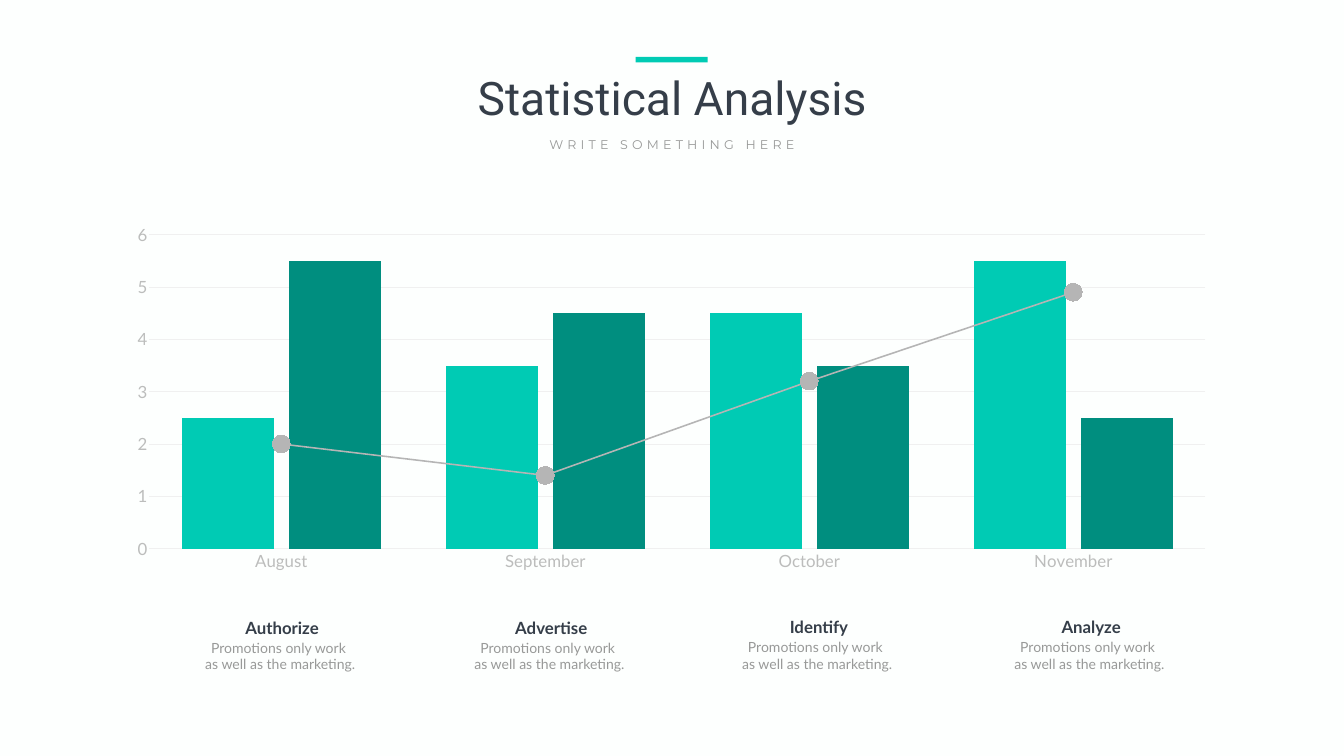
from lxml.etree import SubElement
from pptx import Presentation
from pptx.chart.data import CategoryChartData
from pptx.dml.color import RGBColor
from pptx.enum.chart import XL_CHART_TYPE, XL_MARKER_STYLE, XL_TICK_MARK
from pptx.enum.shapes import MSO_SHAPE
from pptx.enum.text import MSO_ANCHOR, MSO_AUTO_SIZE, PP_ALIGN
from pptx.oxml import parse_xml
from pptx.oxml.ns import nsdecls, qn
from pptx.util import Pt

PX = 9144  # EMU per px, 100 px to the inch

BACKGROUND = RGBColor(0xFD, 0xFF, 0xFE)
DARK = RGBColor(0x35, 0x3E, 0x49)
GRAY = RGBColor(0x98, 0x99, 0x98)
AXIS_GRAY = RGBColor(0xBC, 0xBD, 0xBC)
GRID_GRAY = RGBColor(0xF0, 0xF0, 0xF0)
TREND_GRAY = RGBColor(0xB5, 0xB5, 0xB5)
TEAL = RGBColor(0x00, 0xCB, 0xB4)
DEEP_TEAL = RGBColor(0x00, 0x8E, 0x7F)

MONTHS = ["August", "September", "October", "November"]
SERIES = [
    ("Series 1", (2.5, 3.5, 4.5, 5.5)),
    ("Series 2", (5.5, 4.5, 3.5, 2.5)),
    ("Series 3", (2, 1.4, 3.2, 4.9)),
]
# heading, left, top
CAPTIONS = [
    ("Authorize", 375, 1220),
    ("Advertise", 909, 1220),
    ("Identify", 1440, 1219),
    ("Analyze", 1980, 1219),
]
CAPTION_LINES = ["Promotions only work ", "as well as the marketing."]


def px(*lengths):
    return [length * PX for length in lengths]


def write_lines(frame, lines, font_name, size, color, bold=False, spacing=None):
    """Fill a text frame with centred lines; spacing is in points."""
    frame.word_wrap = True
    frame.auto_size = MSO_AUTO_SIZE.NONE
    frame.vertical_anchor = MSO_ANCHOR.TOP
    for index, line in enumerate(lines):
        paragraph = frame.add_paragraph() if index else frame.paragraphs[0]
        paragraph.alignment = PP_ALIGN.CENTER
        run = paragraph.add_run()
        run.text = line
        run.font.name = font_name
        run.font.size = Pt(size)
        run.font.bold = bold
        run.font.color.rgb = color
        if spacing:
            run.font._element.set("spc", str(spacing * 100))


def add_text(slide, box, *args, **kwargs):
    write_lines(slide.shapes.add_textbox(*px(*box)).text_frame, *args, **kwargs)


def add_header(slide):
    title = slide.shapes.title
    title.left, title.top, title.width, title.height = px(774, 132, 1119, 121)
    write_lines(title.text_frame, ["Statistical Analysis"], "Roboto", 66, DARK)
    add_text(slide, (1035, 266, 596, 40), ["WRITE SOMETHING HERE"],
             "Montserrat", 18, GRAY, spacing=6)
    accent = slide.shapes.add_shape(MSO_SHAPE.RECTANGLE, *px(1261, 113, 143, 11))
    accent.shadow.inherit = False
    accent.fill.solid()
    accent.fill.fore_color.rgb = TEAL
    accent.line.fill.background()


def move_last_series_to_line(chart):
    """Draw the last column series as a line on the same axes."""
    columns = chart.plots[0]._element
    trend = columns.findall(qn("c:ser"))[-1]
    for column_setting in trend.findall(qn("c:invertIfNegative")):
        trend.remove(column_setting)
    line_chart = parse_xml(
        f'<c:lineChart {nsdecls("c")}><c:grouping val="standard"/>'
        '<c:varyColors val="0"/></c:lineChart>')
    line_chart.append(trend)
    SubElement(line_chart, qn("c:marker")).set("val", "1")
    for axis_id in columns.findall(qn("c:axId")):
        SubElement(line_chart, qn("c:axId")).set("val", axis_id.get("val"))
    columns.addnext(line_chart)


def place_plot(chart, x, y, w, h):
    """Fix the inner plot area, in fractions of the chart."""
    plot_area = chart.plots[0]._element.getparent()
    for layout in plot_area.findall(qn("c:layout")):
        plot_area.remove(layout)
    plot_area.insert(0, parse_xml(
        f'<c:layout {nsdecls("c")}><c:manualLayout><c:layoutTarget val="inner"/>'
        '<c:xMode val="edge"/><c:yMode val="edge"/>'
        f'<c:x val="{x}"/><c:y val="{y}"/><c:w val="{w}"/><c:h val="{h}"/>'
        '</c:manualLayout></c:layout>'))


def format_line(line, color, width):
    line.color.rgb = color
    line.width = Pt(width)


def format_axes(chart):
    months, values = chart.category_axis, chart.value_axis
    for axis in (months, values):
        axis.major_tick_mark = axis.minor_tick_mark = XL_TICK_MARK.NONE
        font = axis.tick_labels.font
        font.name, font.size, font.color.rgb = "Lato", Pt(24), AXIS_GRAY
    format_line(months.format.line, GRID_GRAY, 0.75)
    values.format.line.fill.background()
    values.minimum_scale, values.maximum_scale, values.major_unit = 0, 6, 1
    values.has_major_gridlines = True
    format_line(values.major_gridlines.format.line, GRID_GRAY, 0.75)


def add_monthly_chart(slide):
    data = CategoryChartData()
    data.categories = MONTHS
    for name, values in SERIES:
        data.add_series(name, values)
    chart = slide.shapes.add_chart(
        XL_CHART_TYPE.COLUMN_CLUSTERED, *px(230, 430, 2205, 716), data).chart
    chart.has_legend = chart.has_title = False
    chart.font.name, chart.font.size, chart.font.color.rgb = "Lato", Pt(24), GRAY
    move_last_series_to_line(chart)
    place_plot(chart, 0.03, 0.05, 0.95, 0.87)
    format_axes(chart)

    columns, trend_plot = chart.plots
    columns.gap_width, columns.overlap = 71, -16
    columns.vary_by_categories = False
    for series, color in zip(columns.series, (TEAL, DEEP_TEAL)):
        series.format.fill.solid()
        series.format.fill.fore_color.rgb = color

    trend = trend_plot.series[0]
    trend.smooth = False
    format_line(trend.format.line, TREND_GRAY, 2.25)
    trend.marker.style, trend.marker.size = XL_MARKER_STYLE.CIRCLE, 25
    trend.marker.format.fill.solid()
    trend.marker.format.fill.fore_color.rgb = TREND_GRAY
    trend.marker.format.line.fill.background()


def add_caption(slide, heading, left, top):
    add_text(slide, (left + 83, top, 203, 50), [heading], "Lato", 24, DARK, bold=True)
    add_text(slide, (left, top + 43, 362, 77), CAPTION_LINES, "Lato", 20, GRAY)


def main():
    presentation = Presentation()
    presentation.slide_width, presentation.slide_height = px(2666, 1500)
    slide = presentation.slides.add_slide(presentation.slide_layouts.get_by_name("Title Only"))
    slide.background.fill.solid()
    slide.background.fill.fore_color.rgb = BACKGROUND
    add_header(slide)
    add_monthly_chart(slide)
    for caption in CAPTIONS:
        add_caption(slide, *caption)
    presentation.save("out.pptx")


if __name__ == "__main__":
    main()
